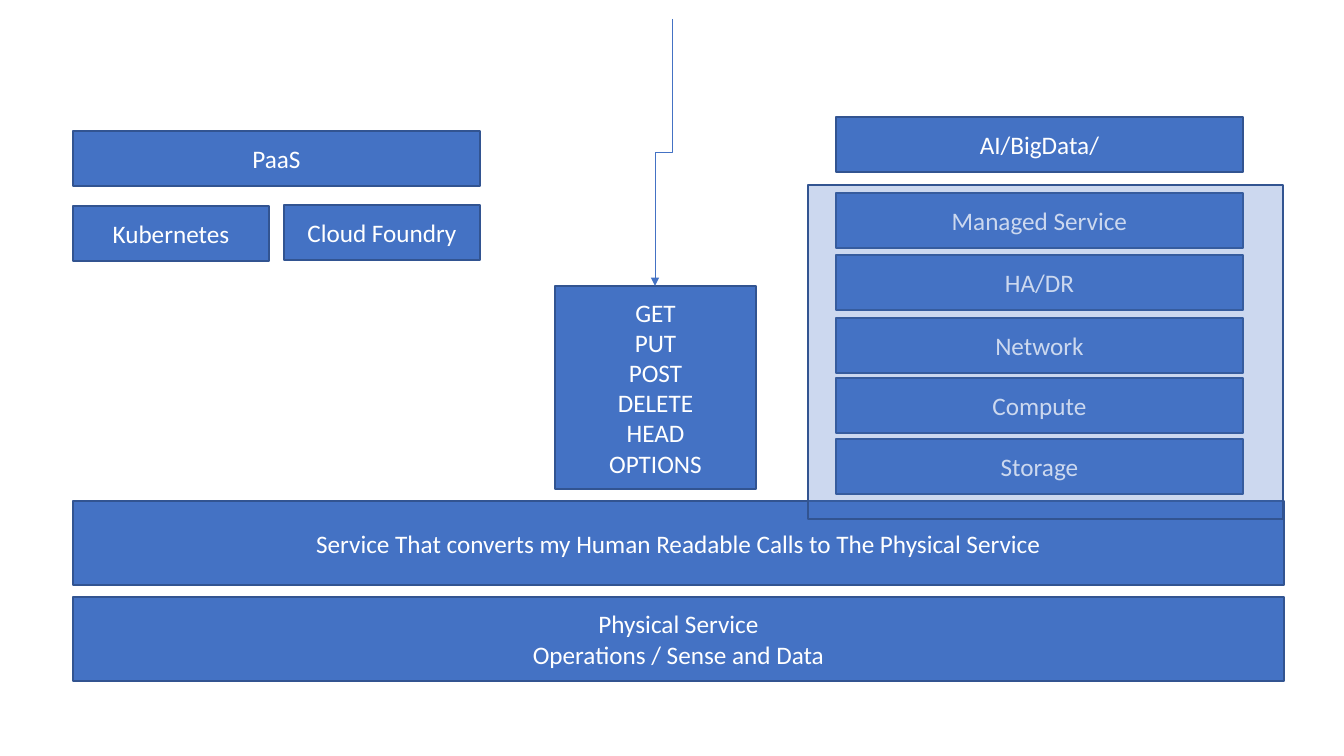
from dataclasses import dataclass

from lxml import etree
from pptx import Presentation
from pptx.dml.color import RGBColor
from pptx.enum.shapes import MSO_CONNECTOR, MSO_SHAPE
from pptx.enum.text import MSO_ANCHOR, PP_ALIGN
from pptx.oxml.ns import qn
from pptx.shapes.autoshape import Shape
from pptx.slide import Slide
from pptx.util import Emu, Pt

BLUE = RGBColor(0x44, 0x72, 0xC4)
EDGE = RGBColor(0x32, 0x54, 0x91)
WHITE = RGBColor(0xFF, 0xFF, 0xFF)
RECT = MSO_SHAPE.RECTANGLE
ELBOW = MSO_CONNECTOR.ELBOW
CENTER = PP_ALIGN.CENTER
MIDDLE = MSO_ANCHOR.MIDDLE
FONT = "Calibri"
SCALE = 914400 / 100.8  # EMU in one px

LEFT, WIDE = 73, 1211  # bars across the slide
STACK, LONG, HALF = 836, 407, 196  # service stack and box widths
LOW, TALL = 55, 84  # box heights


@dataclass
class Box:
    text: str
    left: int
    top: int
    width: int
    height: int = LOW


BARS = [
    Box("Physical Service\nOperations / Sense and Data", LEFT, 597, WIDE, TALL),
    Box("Service That converts my Human Readable Calls to The Physical Service",
        LEFT, 501, WIDE, TALL),
]
VERBS = Box("GET\nPUT\nPOST\nDELETE\nHEAD\nOPTIONS", 555, 286, 201, 203)
LAYERS = [
    Box(text, STACK, top, LONG)
    for text, top in [("AI/BigData/", 117), ("Managed Service", 193),
                      ("HA/DR", 255), ("Network", 318),
                      ("Compute", 378), ("Storage", 439)]
]
PANEL = Box("", 808, 185, 475, 334)
PLATFORM = [
    Box("PaaS", LEFT, 131, LONG),
    Box("Kubernetes", LEFT, 206, HALF),
    Box("Cloud Foundry", LEFT + LONG - HALF, 205, HALF),
]


def px(size: float) -> Emu:
    return Emu(round(size * SCALE))


def draw_box(slide: Slide, box: Box) -> Shape:
    shape = slide.shapes.add_shape(
        RECT, px(box.left), px(box.top), px(box.width), px(box.height))
    shape.shadow.inherit = False
    shape.fill.solid()
    shape.fill.fore_color.rgb = BLUE
    shape.line.color.rgb = EDGE
    shape.line.width = Pt(1)
    frame = shape.text_frame
    frame.text = box.text
    frame.word_wrap = True
    frame.vertical_anchor = MIDDLE
    for para in frame.paragraphs:
        para.alignment = CENTER
        for run in para.runs:
            run.font.name = FONT
            run.font.size = Pt(18)
            run.font.color.rgb = WHITE
    return shape


def fade(shape: Shape, percent: int) -> None:
    color = shape.fill._xPr.find(qn("a:solidFill"))[0]
    etree.SubElement(color, qn("a:alpha")).set("val", str(percent * 1000))


def draw_arrow(slide: Slide, start: tuple[int, int], end: tuple[int, int]) -> None:
    """Elbow going down, across and down, as a level elbow turned by 90 degrees."""
    mid_x, mid_y = (start[0] + end[0]) / 2, (start[1] + end[1]) / 2
    half_w, half_h = (end[1] - start[1]) / 2, (start[0] - end[0]) / 2
    arrow = slide.shapes.add_connector(
        ELBOW, px(mid_x - half_w), px(mid_y - half_h),
        px(mid_x + half_w), px(mid_y + half_h))
    arrow.line.color.rgb = BLUE
    arrow.line.width = Pt(0.5)
    props = arrow._element.spPr
    props.find(qn("a:xfrm")).set("rot", str(90 * 60000))
    etree.SubElement(props.find(qn("a:ln")), qn("a:tailEnd")).set("type", "triangle")
    etree.SubElement(props, qn("a:effectLst"))


def main() -> None:
    deck = Presentation()
    deck.slide_width, deck.slide_height = px(1344), px(756)
    slide = deck.slides.add_slide(deck.slide_layouts[6])

    # Base bars and request verbs
    for box in [*BARS, VERBS]:
        draw_box(slide, box)
    draw_arrow(slide, (672, 19), (VERBS.left + VERBS.width // 2, VERBS.top))

    # Service stack under a translucent panel
    for box in LAYERS:
        draw_box(slide, box)
    fade(draw_box(slide, PANEL), 27)

    # Platform boxes
    for box in PLATFORM:
        draw_box(slide, box)

    deck.save("out.pptx")


if __name__ == "__main__":
    main()
